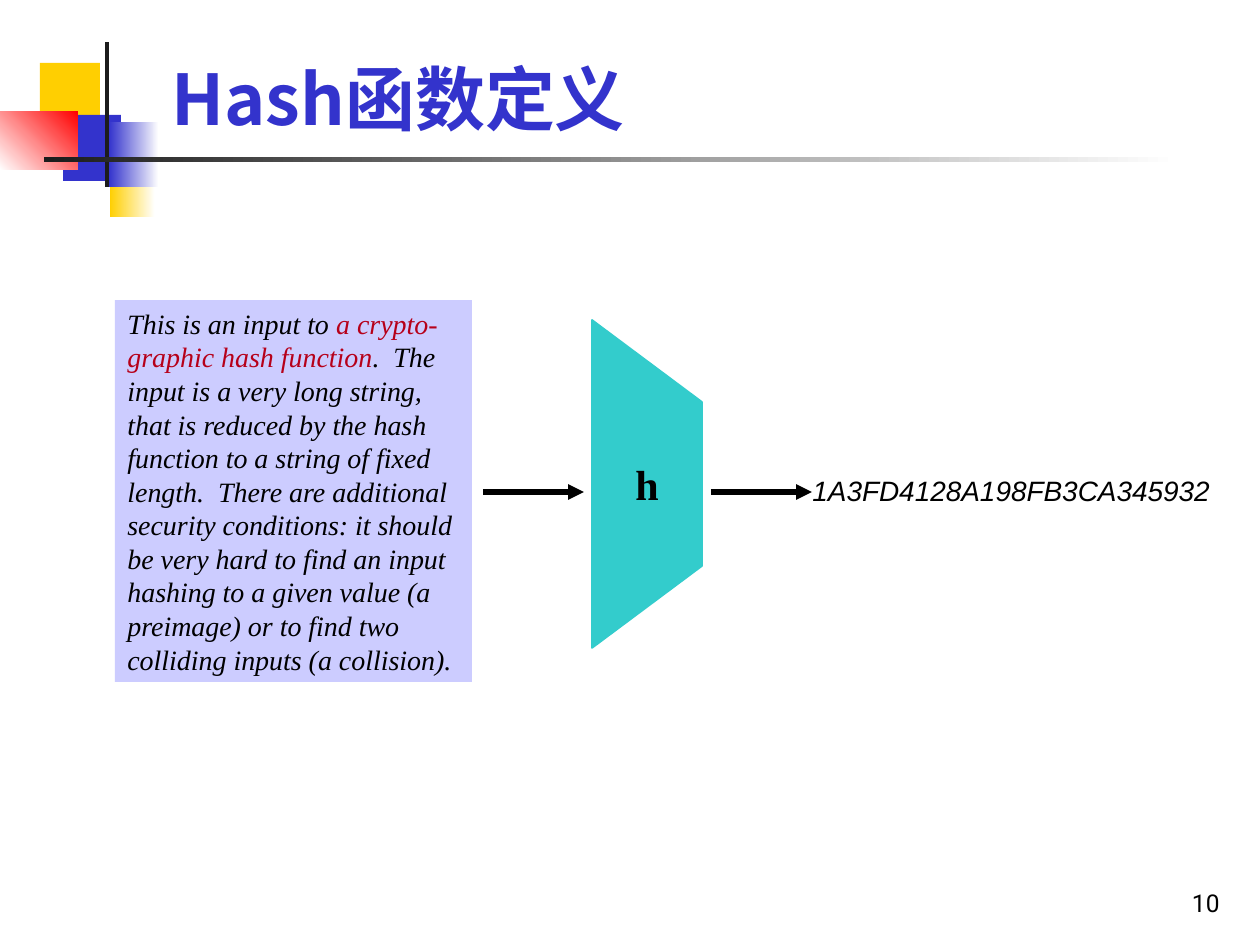
import pptx
import pptx.util
import pptx.dml.color
import pptx.enum.shapes
import pptx.enum.text
import pptx.oxml.ns
import lxml.etree

theme = {
    "yellow": "FFCF01", "blue": "3333CC", "red": "FF0000", "white": "FFFFFF",
    "dark": "1C1C1C", "black": "000000", "lilac": "CCCCFF", "teal": "33CCCC",
    "crimson": "B6001A",
    "sans": "Arial", "serif": "Times New Roman",
    "cjk": "Noto Sans CJK SC", "number": "Roboto",
    "title_pt": 40, "symbol_pt": 24, "body_pt": 16, "number_pt": 14,
}
SCALE = 914400 / 126
qn = pptx.oxml.ns.qn
RGB = pptx.dml.color.RGBColor.from_string
ALIGN = pptx.enum.text.PP_ALIGN
ANCHOR = pptx.enum.text.MSO_ANCHOR
RECT = pptx.enum.shapes.MSO_SHAPE.RECTANGLE


def px(*lengths):
    return [pptx.util.Emu(round(n * SCALE)) for n in lengths]


def write(s, runs, font, size, align=ALIGN.LEFT, anchor=ANCHOR.MIDDLE,
          bold=False, italic=False, before=0):
    tf = s.text_frame
    tf.word_wrap = True
    tf.vertical_anchor = anchor
    p = tf.paragraphs[0]
    p.alignment = align
    p.space_before = pptx.util.Pt(before)
    for text, color in runs:
        r = p.add_run()
        r.text = text
        r.font.name = theme[font]
        r.font.size = pptx.util.Pt(theme[size])
        r.font.bold = bold
        r.font.italic = italic
        r.font.color.rgb = RGB(theme[color])


prs = pptx.Presentation()
prs.slide_width, prs.slide_height = px(1260, 945)
slide = prs.slides.add_slide(prs.slide_layouts[5])
shapes = slide.shapes

decorations = [
    ((40, 63, 60, 66), ["yellow"], 0),
    ((110, 151, 45, 66), ["yellow", "white"], 0),
    ((63, 115, 58, 66), ["blue"], 0),
    ((109, 122, 50, 65), ["blue", "white"], 0),
    ((0, 111, 78, 59), ["white", "red"], 45),
    ((105, 42, 4, 145), ["dark"], 0),
    ((44, 157, 1134, 5), ["dark", "white"], 0),
]
for box, colors, angle in decorations:
    s = shapes.add_shape(RECT, *px(*box))
    s.shadow.inherit = False
    s.line.fill.background()
    if len(colors) == 1:
        s.fill.solid()
        s.fill.fore_color.rgb = RGB(theme[colors[0]])
    else:
        s.fill.gradient()
        s.fill.gradient_angle = angle
        for stop, color in zip(s.fill.gradient_stops, colors):
            stop.color.rgb = RGB(theme[color])

title = shapes.title
title.left, title.top, title.width, title.height = px(159, 29, 1073, 117)
write(title, [("Hash函数定义", "blue")], "cjk", "title_pt",
      anchor=ANCHOR.BOTTOM, bold=True)
rPr = title.text_frame.paragraphs[0].runs[0].font._element
lxml.etree.SubElement(rPr, qn("a:ea")).set("typeface", theme["cjk"])

number = shapes.add_textbox(*px(970, 861, 262, 63))
write(number, [("10", "black")], "number", "number_pt",
      align=ALIGN.RIGHT, anchor=ANCHOR.BOTTOM)

message = [
    ("This is an input to ", "black"),
    ("a crypto-graphic hash function", "crimson"),
    (".  The input is a very long string, that is reduced by the hash "
     "function to a string of fixed length.  There are additional security "
     "conditions: it should be very hard to find an input hashing to a given "
     "value (a preimage) or to find two colliding inputs (a collision).", "black"),
]
digest = [("1A3FD4128A198FB3CA345932", "black")]
panels = [
    ((800, 467, 437, 47), "white", digest, "sans"),
    ((115, 300, 357, 382), "lilac", message, "serif"),
]
for box, color, runs, font in panels:
    s = shapes.add_shape(RECT, *px(*box))
    s.shadow.inherit = False
    s.line.fill.background()
    s.fill.solid()
    s.fill.fore_color.rgb = RGB(theme[color])
    write(s, runs, font, "body_pt", italic=True, before=10)

builder = shapes.build_freeform(592, 320, scale=SCALE)
builder.add_line_segments([(702, 402), (702, 566), (592, 648)], close=True)
hash_box = builder.convert_to_shape()
hash_box.shadow.inherit = False
hash_box.fill.solid()
hash_box.fill.fore_color.rgb = RGB(theme["teal"])
hash_box.line.color.rgb = RGB(theme["teal"])
hash_box.line.width = pptx.util.Pt(1)
write(hash_box, [("h", "black")], "serif", "symbol_pt",
      align=ALIGN.CENTER, bold=True)

for start in (483, 711):
    arrow = shapes.add_connector(pptx.enum.shapes.MSO_CONNECTOR.STRAIGHT,
                                 *px(start, 492, start + 101, 492))
    arrow.line.color.rgb = RGB(theme["black"])
    arrow.line.width = pptx.util.Pt(3)
    ln = arrow.line._get_or_add_ln()
    lxml.etree.SubElement(ln, qn("a:tailEnd")).set("type", "triangle")
    lxml.etree.SubElement(arrow._element.spPr, qn("a:effectLst"))

prs.save("out.pptx")
